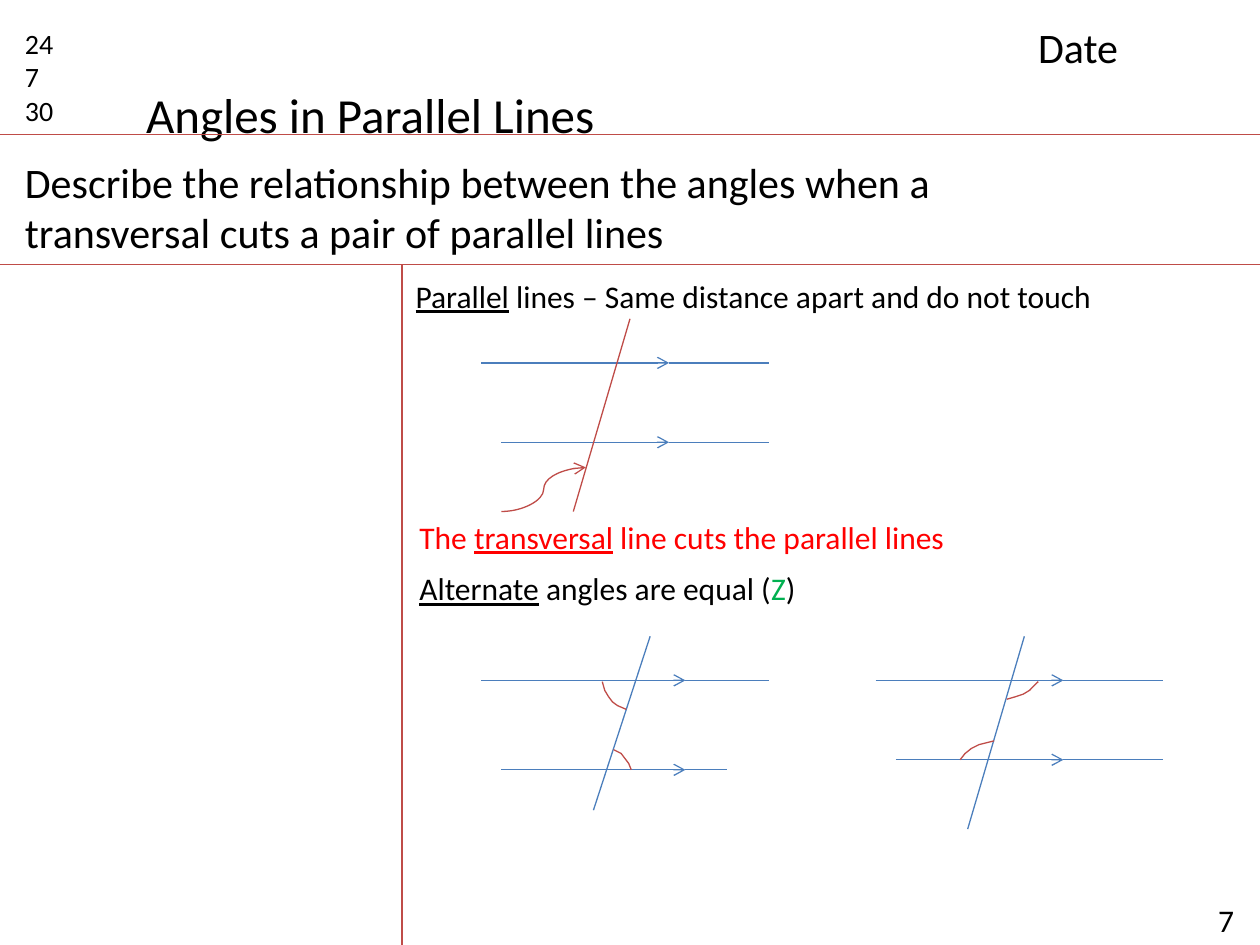
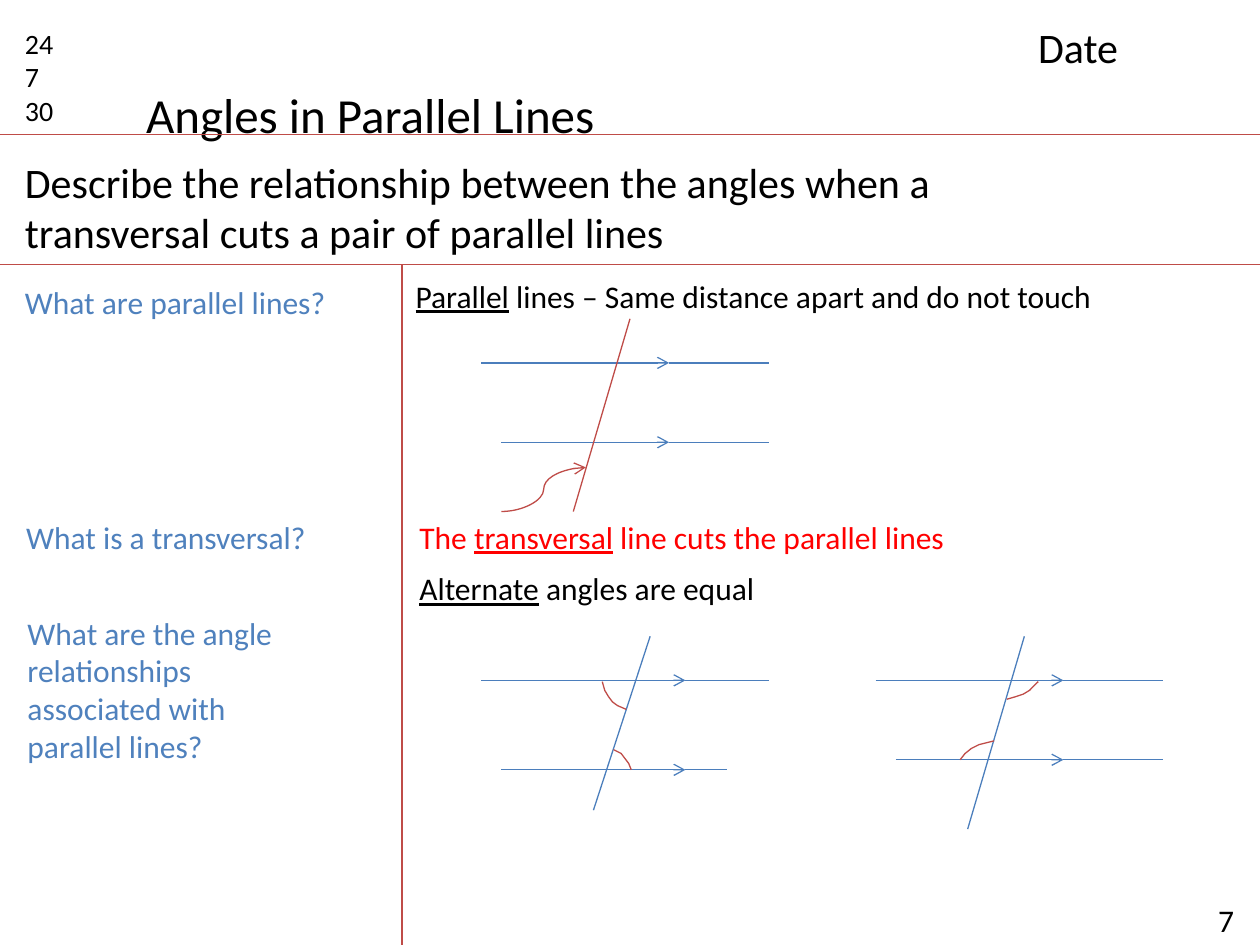
from dataclasses import dataclass

from lxml import etree
from pptx import Presentation
from pptx.dml.color import RGBColor
from pptx.enum.shapes import MSO_CONNECTOR
from pptx.enum.text import MSO_ANCHOR, MSO_AUTO_SIZE, PP_ALIGN
from pptx.oxml.ns import qn
from pptx.util import Inches, Pt

STRAIGHT, CURVE = MSO_CONNECTOR.STRAIGHT, MSO_CONNECTOR.CURVE
TOP, LEFT = MSO_ANCHOR.TOP, PP_ALIGN.LEFT
FIT_SHAPE = MSO_AUTO_SIZE.SHAPE_TO_FIT_TEXT

COLORS = {
    "text": "000000",
    "rule": "BF4C48",
    "parallel": "4B7EBC",
    "question": "4F81BD",
    "alert": "FF0000",
    "letter": "00B050",
}
FONT = "Calibri"
LINE_WIDTH = Pt(0.75)
TITLE_ONLY = 5
WIDTH, HEIGHT = 10, 7.5
HEADER_BOTTOM, AIM_BOTTOM, MARGIN_RIGHT = 1.07, 2.1, 3.19


@dataclass
class ParallelPair:
    upper_y: float
    lower_y: float
    arrow_x: float
    lower_end: float
    transversal: tuple
    arcs: tuple = ()


PLAIN_PAIR = ParallelPair(0.35, 0.98, 1.49, 2.28, ((1.18, 0), (0.73, 1.53)))
ACUTE_PAIR = ParallelPair(
    0.35, 1.06, 1.62, 1.95, ((1.34, 0), (0.89, 1.38)),
    (
        ((1.05, 0.9), (1.11, 0.93), (1.14, 0.97), (1.17, 1.01), (1.19, 1.06)),
        ((0.96, 0.36), (0.98, 0.43), (1.01, 0.48), (1.04, 0.52), (1.08, 0.55), (1.15, 0.58)),
    ),
)
OBTUSE_PAIR = ParallelPair(
    0.35, 0.98, 1.49, 2.28, PLAIN_PAIR.transversal,
    (
        ((0.67, 0.98), (0.71, 0.93), (0.76, 0.89), (0.82, 0.86), (0.9, 0.84), (0.94, 0.83)),
        ((1.04, 0.5), (1.11, 0.48), (1.17, 0.46), (1.22, 0.43), (1.26, 0.39), (1.29, 0.36)),
    ),
)
UPPER_END, LOWER_START = 2.28, 0.16

ALTERNATE = [("Alternate", "text", True), (" angles are equal", "text", False)]
ALTERNATE_WITH_LETTER = [
    ALTERNATE[0],
    (" angles are equal (", "text", False),
    ("Z", "letter", False),
    (")", "text", False),
]
QUESTIONS = [
    ("What are parallel lines?", (0.1, 2.2, 2.86, 0.4)),
    ("What is a transversal?", (0.11, 4.06, 2.6, 0.4)),
    ("What are the angle relationships associated with parallel lines?", (0.12, 4.82, 2.54, 1.31)),
]


def format_font(font, size, color, underline=False):
    font.name = FONT
    font.size = Pt(size)
    font.underline = underline
    font.color.rgb = RGBColor.from_string(COLORS[color])


def fill_text(shape, text, size, color="text", wrap=True):
    frame = shape.text_frame
    frame.text = text
    frame.word_wrap = wrap
    frame.auto_size = FIT_SHAPE
    frame.vertical_anchor = TOP
    for para in frame.paragraphs:
        para.alignment = LEFT
        for span in para.runs:
            format_font(span.font, size, color)


def add_text(page, box, text, size, color="text"):
    shape = page.shapes.add_textbox(*map(Inches, box))
    fill_text(shape, text, size, color)


def add_statement(page, box, pieces):
    shape = page.shapes.add_textbox(*map(Inches, box))
    shape.text_frame.word_wrap = False
    shape.text_frame.auto_size = FIT_SHAPE
    para = shape.text_frame.paragraphs[0]
    for text, color, underline in pieces:
        span = para.add_run()
        span.text = text
        format_font(span.font, 18, color, underline)


def add_line(page, start, end, color, arrow=False, kind=STRAIGHT):
    line = page.shapes.add_connector(kind, *map(Inches, (*start, *end)))
    line.line.width = LINE_WIDTH
    line.line.color.rgb = RGBColor.from_string(COLORS[color])
    if arrow:
        etree.SubElement(line.line._get_or_add_ln(), qn("a:tailEnd"), type="arrow")
    etree.SubElement(line._element.spPr, qn("a:effectLst"))


def add_arc(page, points):
    start, *rest = [(Inches(x), Inches(y)) for x, y in points]
    builder = page.shapes.build_freeform(*start)
    builder.add_line_segments(rest, close=False)
    arc = builder.convert_to_shape()
    arc.shadow.inherit = False
    arc.fill.background()
    arc.line.width = LINE_WIDTH
    arc.line.color.rgb = RGBColor.from_string(COLORS["rule"])


def add_parallel_pair(page, left, top, pair, transversal_color="parallel"):
    def place(x, y):
        return left + x, top + y

    for start, end, y in ((0, UPPER_END, pair.upper_y), (LOWER_START, pair.lower_end, pair.lower_y)):
        middle = place(pair.arrow_x, y)
        add_line(page, place(start, y), middle, "parallel", arrow=True)
        add_line(page, middle, place(end, y), "parallel")
    upper, lower = pair.transversal
    add_line(page, place(*upper), place(*lower), transversal_color)
    for arc in pair.arcs:
        add_arc(page, [place(*point) for point in arc])


def add_frame(page):
    title = page.shapes.title
    title.left, title.top, title.width, title.height = map(Inches, (1.06, 0.62, 3.8, 0.57))
    fill_text(title, "Angles in Parallel Lines", 28, wrap=False)
    for y in (HEADER_BOTTOM, AIM_BOTTOM):
        add_line(page, (0, y), (WIDTH, y), "rule")
    add_line(page, (MARGIN_RIGHT, AIM_BOTTOM), (MARGIN_RIGHT, 7.69), "rule")
    add_text(page, (0.1, 0.16, 0.63, 0.91), "24\n7\n30", 16)
    add_text(page, (8.14, 0.12, 1.73, 0.5), "Date", 24)
    add_text(
        page, (0.1, 1.19, 8.9, 0.91),
        "Describe the relationship between the angles when a transversal cuts a pair of parallel lines",
        24,
    )
    add_text(page, (9.57, 7.1, 0.6, 0.4), "7", 18)


def add_definitions(page, left, top):
    add_statement(page, (left, top, 5.63, 0.4), [
        ("Parallel", "text", True),
        (" lines – Same distance apart and do not touch", "text", False),
    ])
    add_parallel_pair(page, left + 0.62, top + 0.38, PLAIN_PAIR, "rule")
    add_line(page, (left + 0.78, top + 1.91), (left + 1.45, top + 1.56), "rule", True, CURVE)
    add_statement(page, (left + 0.03, top + 1.91, 4.42, 0.4), [
        ("The ", "alert", False),
        ("transversal", "alert", True),
        (" line cuts the parallel lines", "alert", False),
    ])


def add_alternate_angles(page, left, top, pieces, width):
    add_statement(page, (left, top, width, 0.4), pieces)
    add_parallel_pair(page, left + 0.59, top + 0.58, ACUTE_PAIR)
    add_parallel_pair(page, left + 3.72, top + 0.58, OBTUSE_PAIR)


def add_lesson_page(deck, pieces, width, questions=()):
    page = deck.slides.add_slide(deck.slide_layouts[TITLE_ONLY])
    add_frame(page)
    add_definitions(page, 3.2, 2.15)
    add_alternate_angles(page, 3.23, 4.47, pieces, width)
    for question, box in questions:
        add_text(page, box, question, 18, "question")


def main():
    deck = Presentation()
    deck.slide_width, deck.slide_height = Inches(WIDTH), Inches(HEIGHT)
    add_lesson_page(deck, ALTERNATE_WITH_LETTER, 3.22)
    add_lesson_page(deck, ALTERNATE, 2.89, QUESTIONS)
    deck.save("out.pptx")


if __name__ == "__main__":
    main()
